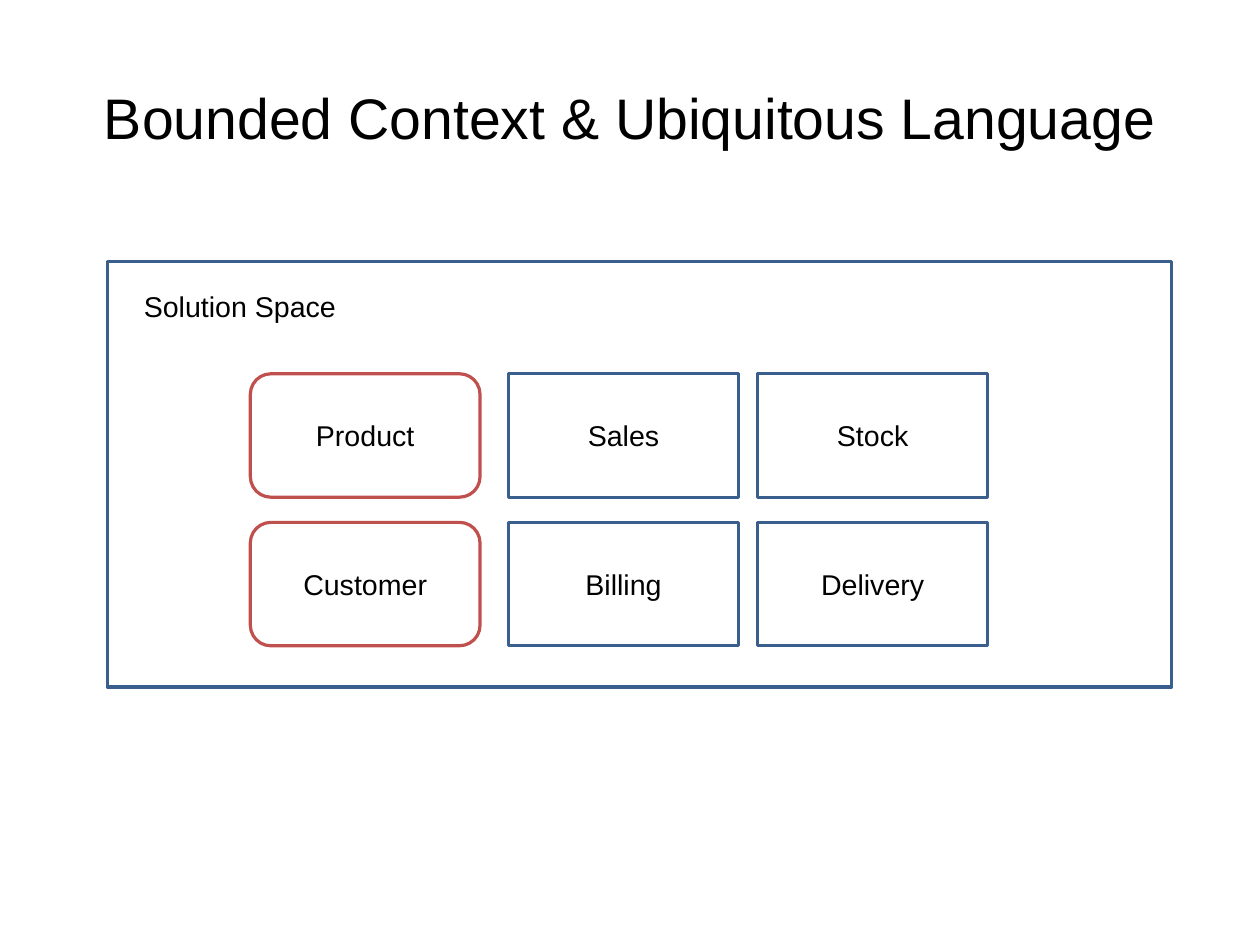
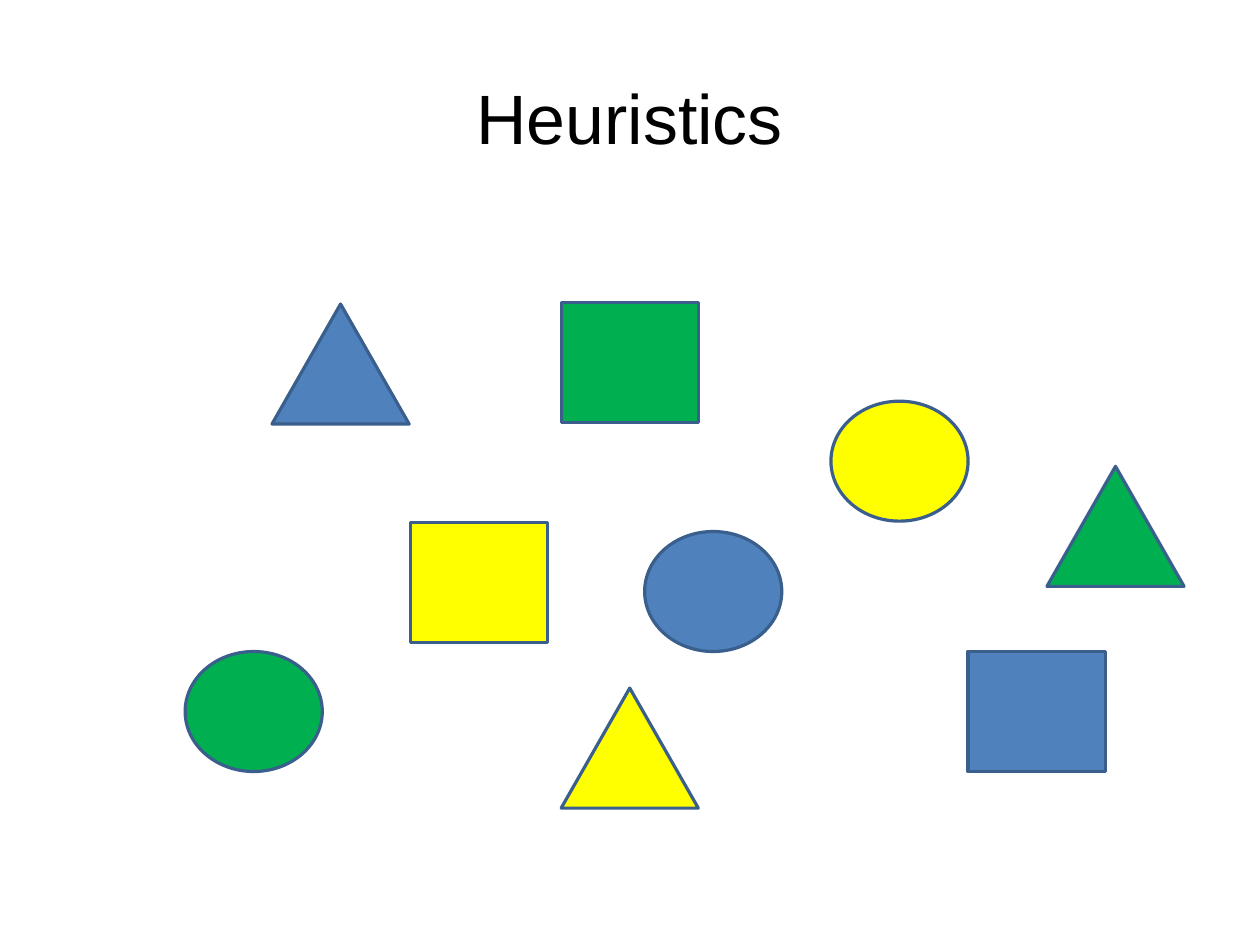
from pptx import Presentation
from pptx.dml.color import RGBColor
from pptx.enum.shapes import MSO_SHAPE as Shape
from pptx.enum.text import MSO_ANCHOR as Anchor, PP_ALIGN as Align
from pptx.util import Inches, Pt

FONT = "Arial"
CM_PER_INCH = 2.54
COLORS = {
    "text": "000000",
    "white": "FFFFFF",
    "outline": "3A5F8C",
    "red": "C0504D",
    "blue": "4F81BD",
    "yellow": "FFFF00",
    "green": "00B050",
}

BOX_SIZE = (2.01, 1.08)
BOX_ROWS = (3.27, 4.57)
CONTEXT_COLUMNS = (
    (2.19, Shape.ROUNDED_RECTANGLE, "red", ("Product", "Customer")),
    (4.45, Shape.RECTANGLE, "outline", ("Sales", "Billing")),
    (6.63, Shape.RECTANGLE, "outline", ("Stock", "Delivery")),
)

FIGURE_SIZE = (1.2, 1.05)
FIGURES = (
    (Shape.ISOSCELES_TRIANGLE, "blue", 2.38, 2.66),
    (Shape.ISOSCELES_TRIANGLE, "yellow", 4.91, 6.02),
    (Shape.ISOSCELES_TRIANGLE, "green", 9.16, 4.08),
    (Shape.RECTANGLE, "blue", 8.47, 5.7),
    (Shape.RECTANGLE, "yellow", 3.59, 4.57),
    (Shape.RECTANGLE, "green", 4.91, 2.65),
    (Shape.OVAL, "yellow", 7.27, 3.51),
    (Shape.OVAL, "blue", 5.64, 4.65),
    (Shape.OVAL, "green", 1.62, 5.7),
)


def color(name):
    return RGBColor.from_string(COLORS[name])


def write(frame, text, size=18, align=Align.CENTER, anchor=Anchor.MIDDLE):
    frame.text = text
    frame.word_wrap = True
    frame.vertical_anchor = anchor
    paragraph = frame.paragraphs[0]
    paragraph.alignment = align
    font = paragraph.runs[0].font
    font.name = FONT
    font.size = Pt(size)
    font.color.rgb = color("text")


def add_text_box(slide, left, top, width, height):
    box = slide.shapes.add_textbox(
        Inches(left), Inches(top), Inches(width), Inches(height))
    return box.text_frame


def add_figure(slide, kind, left, top, size, fill=None, line="outline"):
    width, height = size
    figure = slide.shapes.add_shape(
        kind, Inches(left), Inches(top), Inches(width), Inches(height))
    figure.shadow.inherit = False
    if fill:
        figure.fill.solid()
        figure.fill.fore_color.rgb = color(fill)
    else:
        figure.fill.background()
    figure.line.color.rgb = color(line)
    figure.line.width = Pt(2)
    return figure


def add_titled_slide(deck, title, size):
    slide = deck.slides.add_slide(deck.slide_layouts[6])
    frame = add_text_box(slide, 0.55, 0.33, 9.92, 1.38)
    frame.margin_left = frame.margin_right = 0
    frame.margin_top = frame.margin_bottom = 0
    write(frame, title, size)
    return slide


def build_context_slide(deck):
    slide = add_titled_slide(deck, "Bounded Context & Ubiquitous Language", 36)
    add_figure(slide, Shape.RECTANGLE, 0.94, 2.29, (9.31, 3.72), "white")
    heading = add_text_box(slide, 1.16, 2.48, 3.04, 0.4)
    write(heading, "Solution Space", align=Align.LEFT, anchor=Anchor.TOP)
    for left, kind, line, labels in CONTEXT_COLUMNS:
        for top, label in zip(BOX_ROWS, labels):
            box = add_figure(slide, kind, left, top, BOX_SIZE, line=line)
            write(box.text_frame, label)


def build_heuristics_slide(deck):
    slide = add_titled_slide(deck, "Heuristics", 44)
    for kind, fill, left, top in FIGURES:
        add_figure(slide, kind, left, top, FIGURE_SIZE, fill)


def main():
    deck = Presentation()
    deck.slide_width = Inches(28 / CM_PER_INCH)
    deck.slide_height = Inches(21 / CM_PER_INCH)
    build_context_slide(deck)
    build_heuristics_slide(deck)
    deck.save("out.pptx")


if __name__ == "__main__":
    main()
